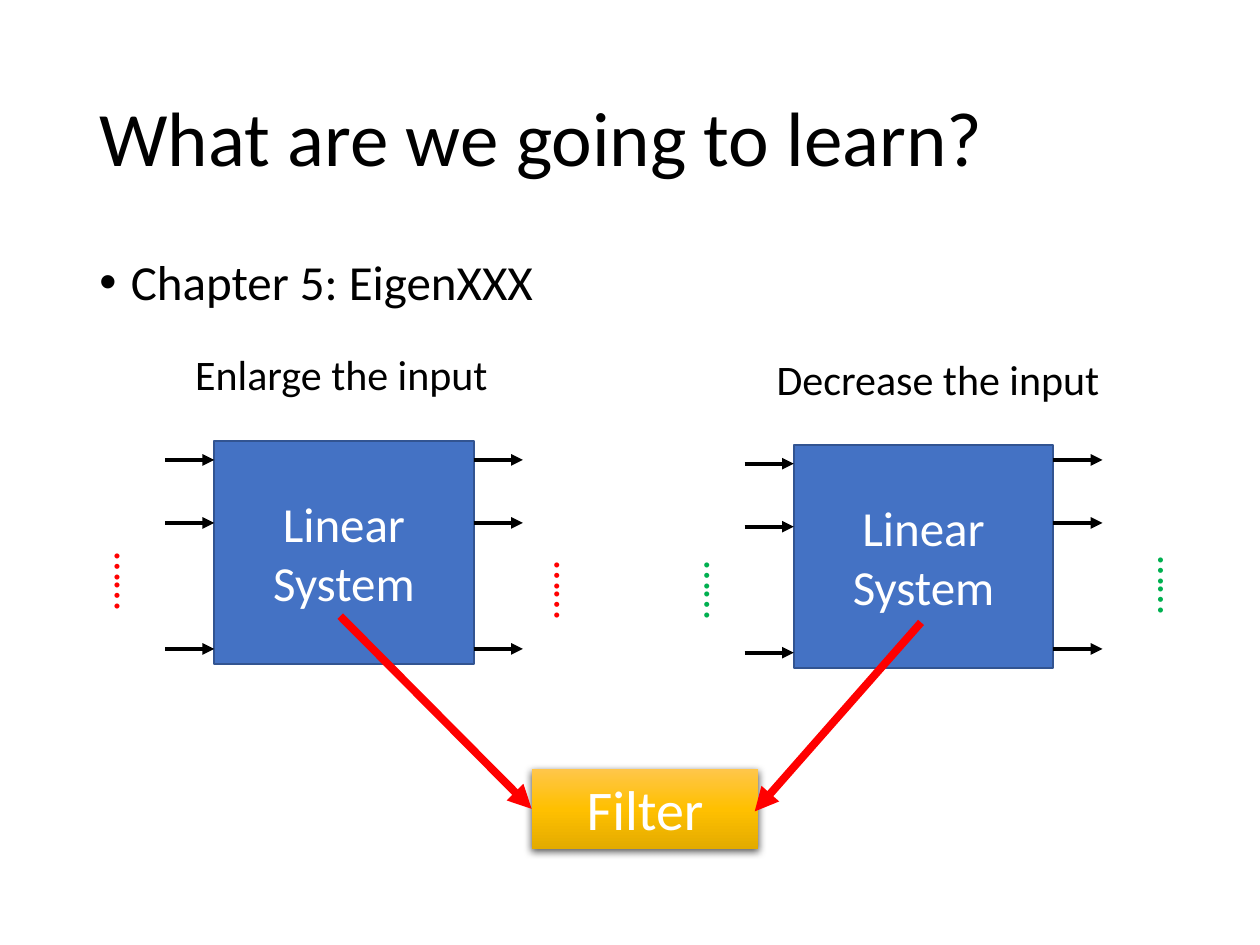
from dataclasses import dataclass

from lxml.etree import SubElement
from pptx import Presentation
from pptx.dml.color import RGBColor
from pptx.enum.shapes import MSO_CONNECTOR as Connector, MSO_SHAPE as Shape
from pptx.enum.text import MSO_ANCHOR as Anchor, PP_ALIGN as Align
from pptx.oxml.ns import qn
from pptx.slide import Slide
from pptx.util import Inches, Pt

BLACK, WHITE, RED, GREEN = "000000", "FFFFFF", "FF0000", "00B050"


def color(hex_code):
    """Turn a hex string into a colour."""
    return RGBColor.from_string(hex_code)


def write(frame, text, size=24, ink=BLACK, font="Calibri", align=Align.LEFT,
          anchor=Anchor.TOP, spacing=1.0, bullet=None, wrap=True):
    """Fill a text frame, one paragraph per line of text."""
    frame.word_wrap = wrap
    frame.vertical_anchor = anchor
    for index, line in enumerate(text.split("\n")):
        paragraph = frame.add_paragraph() if index else frame.paragraphs[0]
        paragraph.alignment = align
        paragraph.line_spacing = spacing
        if bullet:
            properties = paragraph._p.get_or_add_pPr()
            properties.set("marL", str(Inches(0.25)))
            properties.set("indent", str(Inches(-0.25)))
            SubElement(properties, qn("a:buFont"), typeface="Arial")
            SubElement(properties, qn("a:buChar"), char=bullet)
        run = paragraph.add_run()
        run.text = line
        run.font.name = font
        run.font.size = Pt(size)
        run.font.color.rgb = color(ink)


@dataclass
class Diagram:
    """Draws the elements of the slide in one style."""

    slide: Slide
    block_fill: str = "4472C4"
    block_line: str = "325491"
    block_width: float = 2.06
    block_height: float = 1.77
    port_length: float = 0.39
    port_offsets: tuple = (0, 0.5, 1.5)

    def text(self, text, left, top, width, height, rotation=0, **style):
        """Add a text box."""
        box = self.slide.shapes.add_textbox(
            Inches(left), Inches(top), Inches(width), Inches(height))
        box.rotation = rotation
        write(box.text_frame, text, **style)

    def rectangle(self, left, top, width, height):
        """Add a plain rectangle without shadow."""
        shape = self.slide.shapes.add_shape(
            Shape.RECTANGLE, Inches(left), Inches(top), Inches(width), Inches(height))
        shape.shadow.inherit = False
        return shape

    def system(self, left, top):
        """Add a linear system block."""
        shape = self.rectangle(left, top, self.block_width, self.block_height)
        shape.fill.solid()
        shape.fill.fore_color.rgb = color(self.block_fill)
        shape.line.color.rgb = color(self.block_line)
        shape.line.width = Pt(1)
        write(shape.text_frame, "Linear\nSystem", size=28, ink=WHITE,
              align=Align.CENTER, anchor=Anchor.MIDDLE)

    def filter_button(self, text, left, top, width, height, stops):
        """Add a gradient button with a soft shadow below."""
        shape = self.rectangle(left, top, width, height)
        shape.line.fill.background()
        shape.fill.gradient()
        shape.fill.gradient_angle = 270
        stop_list = shape._element.spPr.find(".//" + qn("a:gsLst"))
        stop_list.clear()
        for position, hex_code in stops:
            stop = SubElement(stop_list, qn("a:gs"), pos=str(position * 1000))
            SubElement(stop, qn("a:srgbClr"), val=hex_code)
        effects = shape._element.spPr.find(qn("a:effectLst"))
        shadow = SubElement(effects, qn("a:outerShdw"), blurRad=str(Pt(4.5)),
                            dist=str(Pt(1.5)), dir="5400000", algn="ctr", rotWithShape="0")
        tint = SubElement(shadow, qn("a:srgbClr"), val=BLACK)
        SubElement(tint, qn("a:alpha"), val="63000")
        write(shape.text_frame, text, size=32, ink=WHITE, align=Align.CENTER)

    def arrow(self, start, end, ink=BLACK, weight=2.25):
        """Add a straight arrow."""
        connector = self.slide.shapes.add_connector(
            Connector.STRAIGHT, *map(Inches, start + end))
        connector.line.color.rgb = color(ink)
        connector.line.width = Pt(weight)
        SubElement(connector.line._get_or_add_ln(), qn("a:tailEnd"), type="triangle")
        SubElement(connector._element.spPr, qn("a:effectLst"))

    def ports(self, left, top):
        """Add the three signal arrows on one side of a block."""
        for offset in self.port_offsets:
            y = top + offset
            self.arrow((left, y), (left + self.port_length, y))

    def dots(self, left, top, ink):
        """Add a vertical run of dots."""
        self.text("……", left, top, 0.67, 0.5, rotation=90, ink=ink, wrap=False)


def main():
    """Build the slide and save it."""
    presentation = Presentation()
    presentation.slide_width, presentation.slide_height = Inches(10), Inches(7.5)
    diagram = Diagram(presentation.slides.add_slide(presentation.slide_layouts[6]))

    diagram.text("What are we going to learn?", 0.69, 0.4, 8.62, 1.45,
                 size=44, anchor=Anchor.MIDDLE, spacing=0.9)
    diagram.text("Chapter 5: EigenXXX", 0.69, 2, 8.62, 4.76,
                 size=28, spacing=0.9, bullet="•")
    diagram.filter_button("Filter", 4.22, 6.1, 1.8, 0.64,
                          [(0, "FFC64B"), (50, "FFC000"), (100, "E3AB00")])

    diagram.text("Enlarge the input", 0.96, 2.72, 3.5, 0.5, align=Align.CENTER)
    diagram.text("Decrease the input", 5.99, 2.76, 2.91, 0.5, align=Align.CENTER)

    for left, top in [(1.7, 3.5), (6.3, 3.53)]:
        diagram.system(left, top)
        diagram.ports(left - diagram.port_length, top + 0.15)
        diagram.ports(left + diagram.block_width, 3.65)

    for left, top, ink in [(0.71, 4.37, RED), (4.2, 4.44, RED),
                           (5.39, 4.44, GREEN), (8.99, 4.4, GREEN)]:
        diagram.dots(left, top, ink)

    for start, end in [((2.7, 4.89), (4.22, 6.42)), ((7.31, 4.94), (5.99, 6.44))]:
        diagram.arrow(start, end, ink=RED, weight=4.5)

    presentation.save("out.pptx")


if __name__ == "__main__":
    main()
